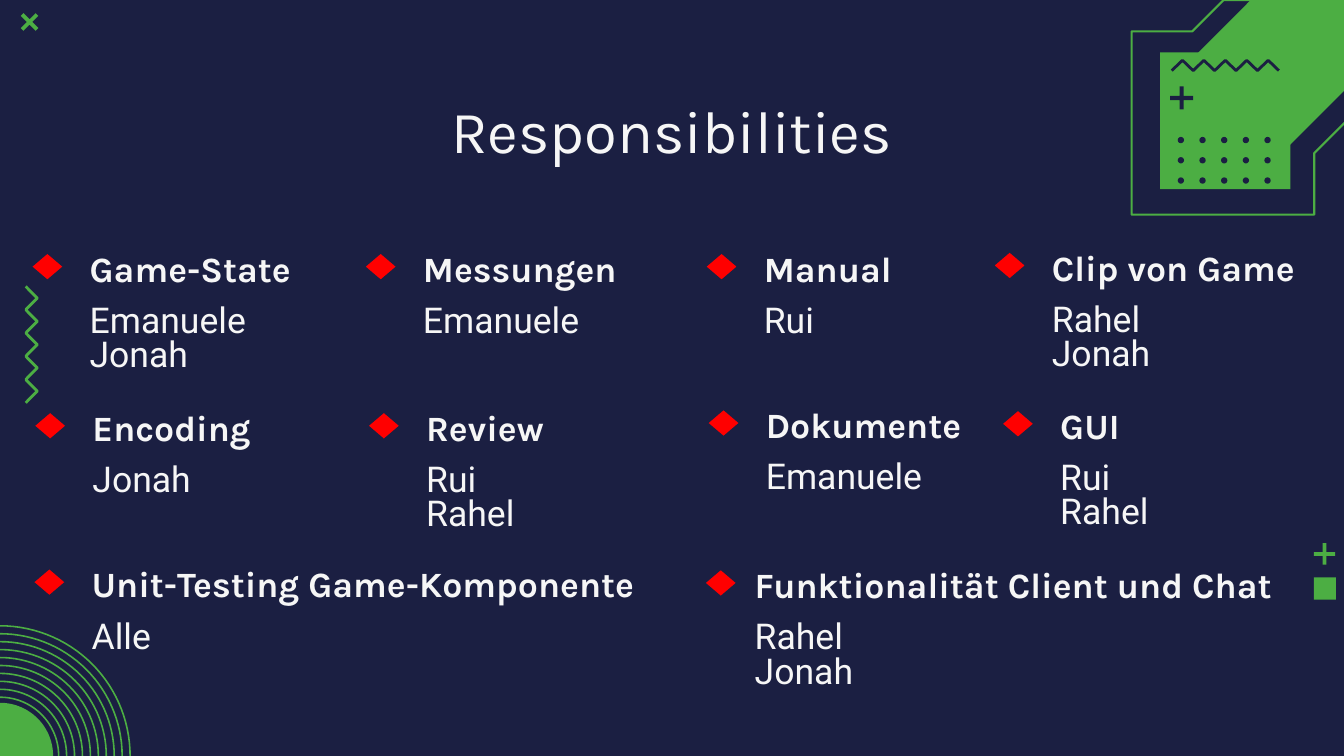
from dataclasses import dataclass
from math import cos, pi, sin

from pptx import Presentation
from pptx.dml.color import RGBColor
from pptx.enum.shapes import MSO_SHAPE
from pptx.enum.text import MSO_ANCHOR, MSO_AUTO_SIZE, PP_ALIGN
from pptx.util import Cm, Pt

WIDTH, HEIGHT = 33.87, 19.05


@dataclass(frozen=True)
class Theme:
    navy: str = "1B1F42"
    green: str = "4CAE43"
    red: str = "FF0000"
    white: str = "F6F6F6"
    heading_font: str = "Karla"
    body_font: str = "Roboto"
    title_size: float = 42.6
    text_size: float = 25.4


def color(value):
    return RGBColor.from_string(value)


def write(frame, text, *, font, size, ink, bold=False, align=PP_ALIGN.LEFT,
          spacing=1.0, inset=0.25, indent=0.0):
    """Fill a text frame, one paragraph for each line of text."""
    frame.word_wrap = True
    frame.auto_size = MSO_AUTO_SIZE.NONE
    frame.vertical_anchor = MSO_ANCHOR.TOP
    frame.margin_top = frame.margin_right = frame.margin_bottom = Cm(inset)
    frame.margin_left = Cm(inset + indent)
    for index, line in enumerate(text.split("\n")):
        para = frame.paragraphs[0] if index == 0 else frame.add_paragraph()
        para.alignment = align
        para.line_spacing = spacing
        span = para.add_run()
        span.text = line
        span.font.name = font
        span.font.size = Pt(size)
        span.font.bold = bold
        span.font.color.rgb = color(ink)


def arc(radius, steps=30):
    """Quarter circle around the bottom left corner of the slide."""
    angles = [pi / 2 * step / steps for step in range(steps + 1)]
    return [(radius * cos(angle), HEIGHT - radius * sin(angle))
            for angle in angles]


class SlideBuilder:
    def __init__(self, slide, theme):
        self.slide = slide
        self.theme = theme
        slide.background.fill.solid()
        slide.background.fill.fore_color.rgb = color(theme.navy)

    def paint(self, shape, fill=None, line=None, weight=1.5):
        shape.shadow.inherit = False
        if fill:
            shape.fill.solid()
            shape.fill.fore_color.rgb = color(fill)
        else:
            shape.fill.background()
        if line:
            shape.line.color.rgb = color(line)
            shape.line.width = Pt(weight)
        else:
            shape.line.fill.background()

    def title(self, text, left, top, width, height):
        box = self.slide.shapes.title
        box.left, box.top = Cm(left), Cm(top)
        box.width, box.height = Cm(width), Cm(height)
        write(box.text_frame, text, font=self.theme.heading_font,
              size=self.theme.title_size, ink=self.theme.white,
              align=PP_ALIGN.CENTER, inset=0.33)

    def text(self, text, left, top, width, height, **style):
        box = self.slide.shapes.add_textbox(
            Cm(left), Cm(top), Cm(width), Cm(height))
        write(box.text_frame, text, size=self.theme.text_size,
              ink=self.theme.white, indent=0.38, **style)

    def shape(self, kind, left, top, width, height, rotation=0, **look):
        shape = self.slide.shapes.add_shape(
            kind, Cm(left), Cm(top), Cm(width), Cm(height))
        shape.rotation = rotation
        self.paint(shape, **look)
        return shape

    def plus(self, left, top, size, fill, rotation=0):
        cross = self.shape(MSO_SHAPE.CROSS, left, top, size, size,
                           rotation, fill=fill)
        cross.adjustments[0] = 0.41

    def outline(self, contours, close=True, **look):
        builder = None
        for contour in contours:
            (start_x, start_y), *rest = [(Cm(x), Cm(y)) for x, y in contour]
            if builder is None:
                builder = self.slide.shapes.build_freeform(start_x, start_y)
            else:
                builder.move_to(start_x, start_y)
            builder.add_line_segments(rest, close=close)
        self.paint(builder.convert_to_shape(), **look)

    def duty(self, heading, names, left, top, width, gap=0.87):
        theme = self.theme
        self.text(names, left, top + 1.5, min(width, 7.49), 2.51,
                  font=theme.body_font, spacing=0.8)
        self.text(heading, left, top, width, 1.5,
                  font=theme.heading_font, bold=True)
        self.shape(MSO_SHAPE.DIAMOND, left - gap, top + 0.38, 0.87, 0.74,
                   fill=theme.red, line=theme.navy, weight=2)


def draw_corner_badge(page):
    theme = page.theme
    page.shape(MSO_SHAPE.RECTANGLE, 30.96, -0.64, 3.28, 3.76, 45,
               fill=theme.green)
    page.outline([[(30.84, 0), (30.05, 0.79), (28.52, 0.79), (28.52, 5.41),
                   (33.12, 5.41), (33.12, 3.86), (33.91, 3.07), (33.91, 0)]],
                 line=theme.green)
    page.shape(MSO_SHAPE.RECTANGLE, 29.24, 1.32, 3.28, 3.45,
               fill=theme.green)
    # Dot grid
    for row in range(3):
        for column in range(5):
            page.shape(MSO_SHAPE.OVAL, 29.68 + 0.546 * column,
                       3.45 + 0.51 * row, 0.16, 0.16, fill=theme.navy)
    # Wave and plus
    wave = [(29.53 + 0.27 * step, 1.52 if step % 2 else 1.78)
            for step in range(11)]
    page.outline([wave], close=False, line=theme.navy, weight=2)
    page.plus(29.49, 2.18, 0.58, theme.navy)


def draw_edge_ornaments(page):
    theme = page.theme
    # Disc and rings in the bottom corner
    page.outline([arc(1.34) + [(0, HEIGHT)]], fill=theme.green)
    radii = [3.3 - 0.2 * ring for ring in range(10)]
    page.outline([arc(radius) + arc(radius - 0.04)[::-1] for radius in radii],
                 fill=theme.green)
    # Small marks
    page.plus(0.48, 0.29, 0.53, theme.green, rotation=45)
    page.plus(33.11, 13.69, 0.54, theme.green)
    page.shape(MSO_SHAPE.RECTANGLE, 33.11, 14.55, 0.56, 0.56,
               fill=theme.green)
    # Upright wave
    wave = [(0.94 if step % 2 else 0.65, 7.22 + 0.293 * step)
            for step in range(11)]
    page.outline([wave], close=False, line=theme.green, weight=2)


DUTIES = [
    # heading, names, left, top, width
    ("Game-State", "Emanuele\nJonah", 1.63, 5.97, 7.19),
    ("Messungen", "Emanuele", 10.03, 5.97, 8.36),
    ("Manual", "Rui", 18.62, 5.97, 8.36),
    ("Clip von Game", "Rahel\nJonah", 25.88, 5.94, 7.49),
    ("Encoding", "Jonah", 1.7, 9.98, 5.74),
    ("Review", "Rui\nRahel", 10.11, 9.98, 5.74),
    ("Dokumente", "Emanuele", 18.67, 9.91, 7.49),
    ("GUI", "Rui\nRahel", 26.09, 9.93, 7.49),
    ("Unit-Testing Game-Komponente", "Alle", 1.68, 13.92, 16.33),
    ("Funktionalität Client und Chat", "Rahel\nJonah",
     18.39, 13.94, 14.66, 0.66),
]


def main():
    deck = Presentation()
    deck.slide_width, deck.slide_height = Cm(WIDTH), Cm(HEIGHT)
    title_only = deck.slide_layouts[5]
    page = SlideBuilder(deck.slides.add_slide(title_only), Theme())

    # Decoration
    draw_corner_badge(page)
    draw_edge_ornaments(page)

    # Content
    page.title("Responsibilities", 2.64, 2.03, 28.58, 2.51)
    for duty in DUTIES:
        page.duty(*duty)

    deck.save("out.pptx")


if __name__ == "__main__":
    main()
